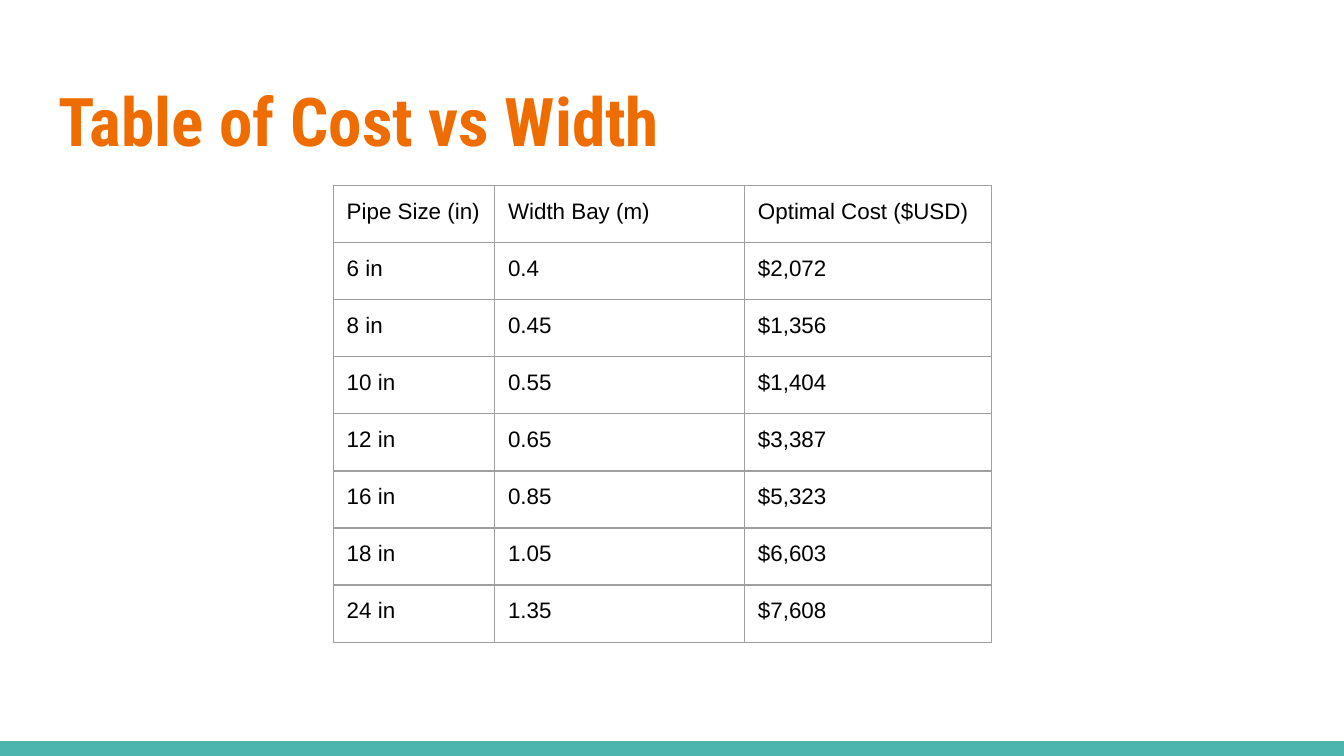
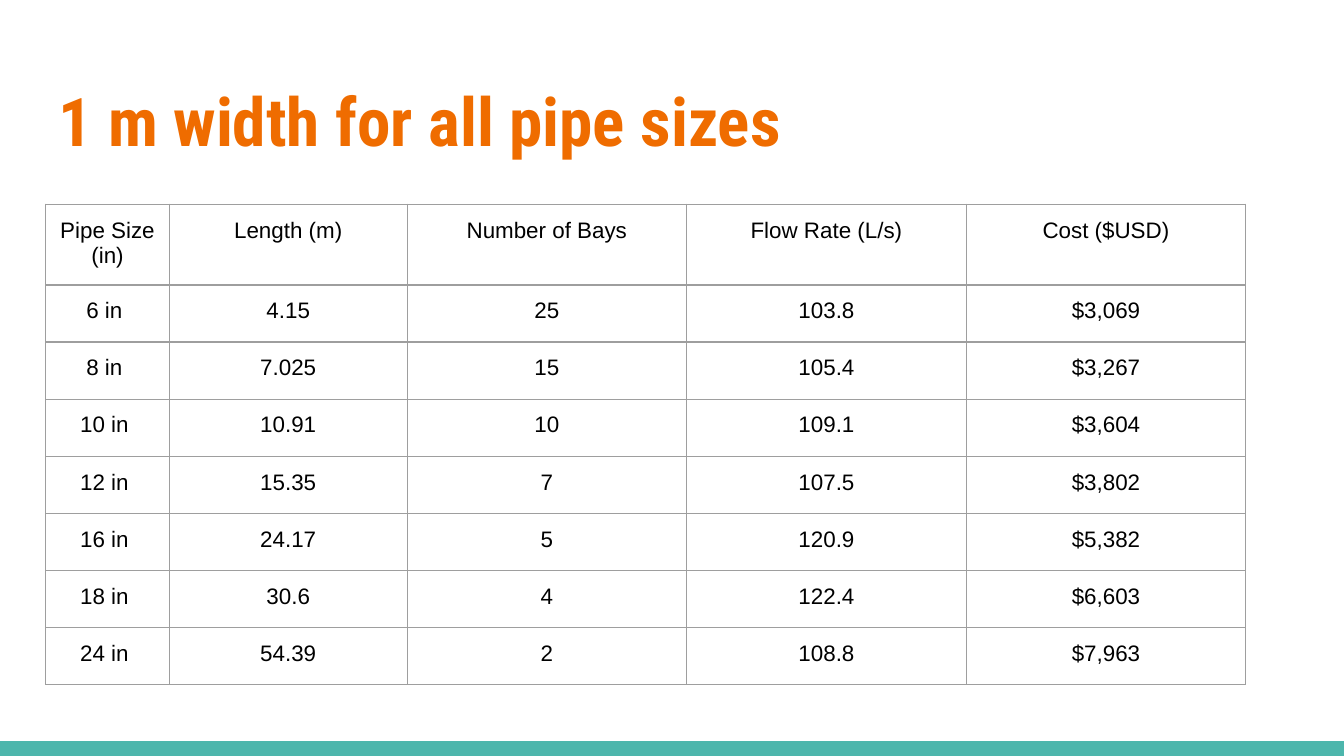
from lxml import etree
from pptx import Presentation
from pptx.dml.color import RGBColor
from pptx.enum.shapes import MSO_SHAPE
from pptx.enum.text import MSO_ANCHOR, PP_ALIGN
from pptx.oxml.ns import qn
from pptx.util import Inches, Pt

RECTANGLE = MSO_SHAPE.RECTANGLE
TOP = MSO_ANCHOR.TOP
LEFT, CENTER = PP_ALIGN.LEFT, PP_ALIGN.CENTER

WHITE = RGBColor(0xFF, 0xFF, 0xFF)
BLACK = RGBColor(0x00, 0x00, 0x00)
ORANGE = RGBColor(0xEF, 0x6C, 0x00)
TEAL = RGBColor(0x4D, 0xB6, 0xAC)
GRAY = RGBColor(0x9E, 0x9E, 0x9E)

TITLE_FONT, BODY_FONT = "Roboto Condensed", "Arial"
SLIDE_WIDTH, SLIDE_HEIGHT = Inches(10), Inches(5.625)
MARGIN = Inches(0.34)
INSET = Inches(0.1)
BAND_HEIGHT = Inches(0.11)
TITLE_BOX = (MARGIN, Inches(0.49), SLIDE_WIDTH - 2 * MARGIN, Inches(0.77))
ROW_HEIGHT = Inches(0.425)
BORDER_WIDTH = Pt(0.75)

WIDTH_COSTS = [
    ("Pipe Size (in)", "Width Bay (m)", "Optimal Cost ($USD)"),
    ("6 in", "0.4", "$2,072"),
    ("8 in", "0.45", "$1,356"),
    ("10 in", "0.55", "$1,404"),
    ("12 in", "0.65", "$3,387"),
    ("16 in", "0.85", "$5,323"),
    ("18 in", "1.05", "$6,603"),
    ("24 in", "1.35", "$7,608"),
]
ONE_METER_COSTS = [
    ("Pipe Size (in)", "Length (m)", "Number of Bays", "Flow Rate (L/s)", "Cost ($USD)"),
    ("6 in ", "4.15", "25", "103.8", "$3,069"),
    ("8 in ", "7.025", "15", "105.4", "$3,267"),
    ("10 in ", "10.91", "10", "109.1", "$3,604"),
    ("12 in ", "15.35", "7", "107.5", "$3,802"),
    ("16 in ", "24.17", "5", "120.9", "$5,382"),
    ("18 in ", "30.6", "4", "122.4", "$6,603"),
    ("24 in ", "54.39", "2", "108.8", "$7,963"),
]


def set_insets(target):
    target.margin_left = target.margin_right = INSET
    target.margin_top = target.margin_bottom = INSET


def style_paragraph(paragraph, font_name, size, color, bold=False, alignment=LEFT):
    paragraph.alignment = alignment
    for run in paragraph.runs:
        run.font.name = font_name
        run.font.size = Pt(size)
        run.font.color.rgb = color
        run.font.bold = bold


def add_band(slide):
    band = slide.shapes.add_shape(
        RECTANGLE, 0, SLIDE_HEIGHT - BAND_HEIGHT, SLIDE_WIDTH, BAND_HEIGHT)
    band.shadow.inherit = False
    band.fill.solid()
    band.fill.fore_color.rgb = TEAL
    band.line.fill.background()


def add_title(slide, title, box):
    text_frame = slide.shapes.add_textbox(*box).text_frame
    text_frame.word_wrap = True
    text_frame.vertical_anchor = TOP
    set_insets(text_frame)
    text_frame.text = title
    style_paragraph(text_frame.paragraphs[0], TITLE_FONT, 36, ORANGE, bold=True)


def add_borders(cell):
    properties = cell._tc.get_or_add_tcPr()
    for position, side in enumerate(("lnL", "lnR", "lnT", "lnB")):
        line = etree.Element(qn(f"a:{side}"), w=str(BORDER_WIDTH))
        fill = etree.SubElement(line, qn("a:solidFill"))
        etree.SubElement(fill, qn("a:srgbClr"), val=str(GRAY))
        properties.insert(position, line)


def add_grid(slide, rows, left, top, column_widths, alignment):
    widths = [Inches(width) for width in column_widths]
    table = slide.shapes.add_table(
        len(rows), len(widths), left, top, sum(widths), ROW_HEIGHT * len(rows)).table
    table.first_row = False
    table.horz_banding = False
    for column, width in zip(table.columns, widths):
        column.width = width
    for table_row, values in zip(table.rows, rows):
        table_row.height = ROW_HEIGHT
        for cell, value in zip(table_row.cells, values):
            set_insets(cell)
            cell.vertical_anchor = TOP
            cell.fill.background()
            add_borders(cell)
            cell.text_frame.text = value
            style_paragraph(cell.text_frame.paragraphs[0], BODY_FONT, 12, BLACK,
                            alignment=alignment)


def add_table_slide(presentation, title, rows, left, top, column_widths, alignment):
    slide = presentation.slides.add_slide(presentation.slide_layouts[6])
    slide.background.fill.solid()
    slide.background.fill.fore_color.rgb = WHITE
    add_band(slide)
    add_title(slide, title, TITLE_BOX)
    add_grid(slide, rows, left, top, column_widths, alignment)


def main():
    presentation = Presentation()
    presentation.slide_width = SLIDE_WIDTH
    presentation.slide_height = SLIDE_HEIGHT
    add_table_slide(presentation, "Table of Cost vs Width", WIDTH_COSTS,
                    Inches(2.48), Inches(1.38), (1.2, 1.86, 1.84), LEFT)
    add_table_slide(presentation, "1 m width for all pipe sizes", ONE_METER_COSTS,
                    MARGIN, Inches(1.52), (0.92, 1.77, 2.08, 2.08, 2.08), CENTER)
    presentation.save("out.pptx")


if __name__ == "__main__":
    main()
